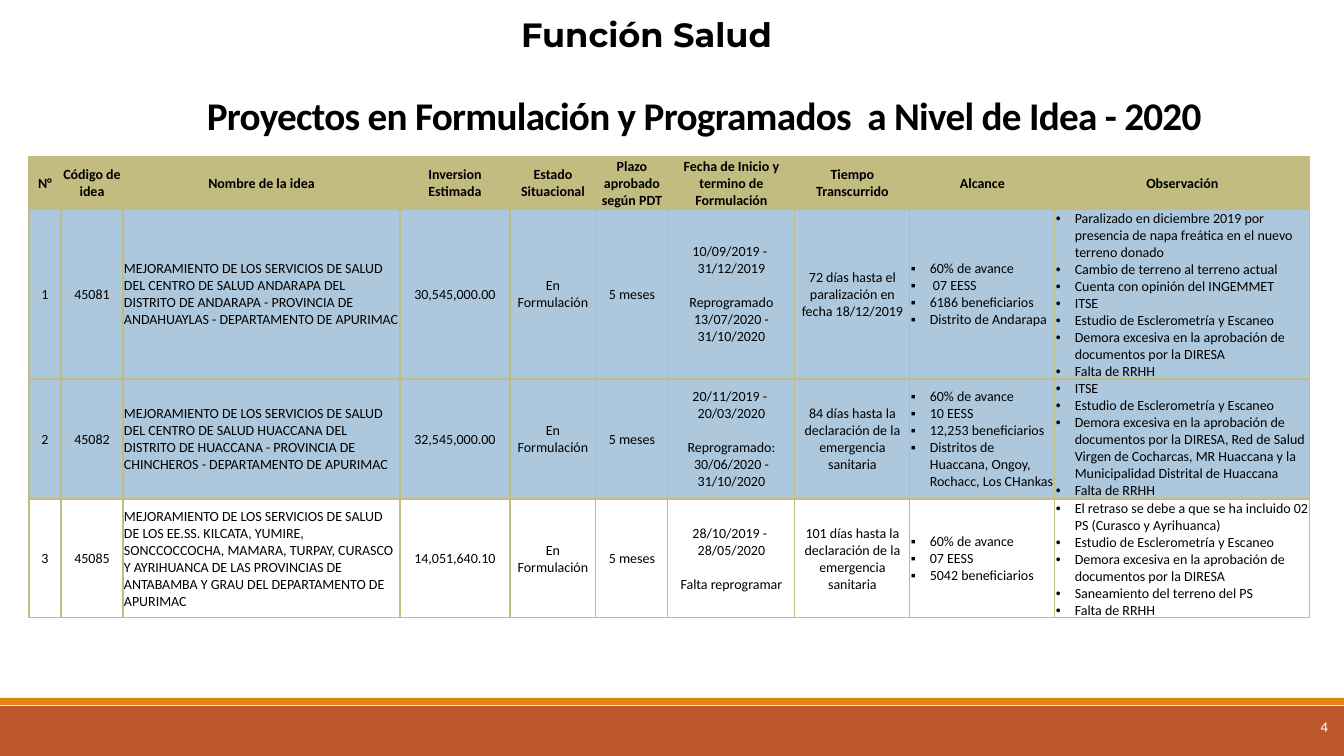
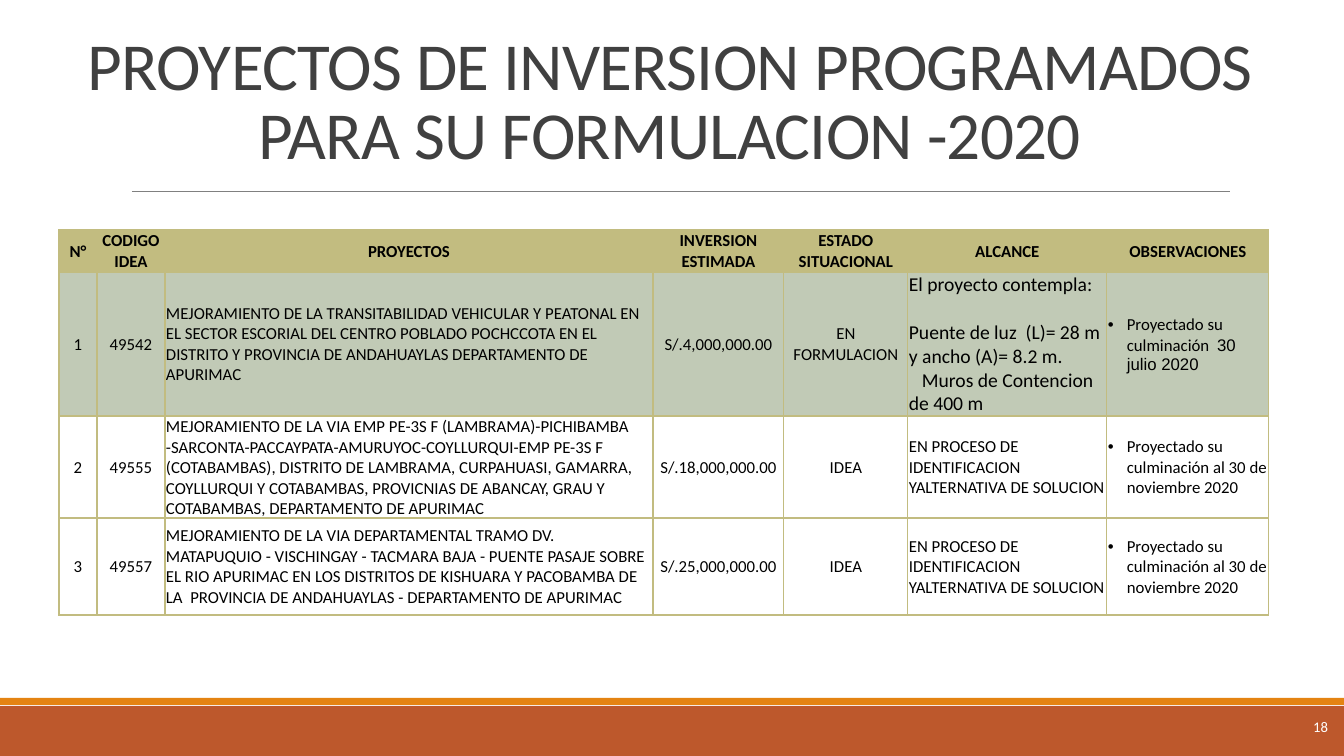
from dataclasses import dataclass

from lxml.etree import SubElement
from pptx import Presentation
from pptx.dml.color import RGBColor
from pptx.enum.shapes import MSO_CONNECTOR, MSO_SHAPE
from pptx.enum.text import MSO_ANCHOR, PP_ALIGN
from pptx.oxml.ns import qn
from pptx.util import Pt

WIDE, HIGH = 1344, 756
SCALE = 12192000 / WIDE


@dataclass(frozen=True)
class Theme:
    """Colours, fonts and type sizes of the deck."""
    rust: str = "BD582C"
    amber: str = "E48312"
    rule: str = "808080"
    khaki: str = "C2BC80"
    blue: str = "ADC8DD"
    sage: str = "C1CAB6"
    black: str = "000000"
    slate: str = "404040"
    white: str = "FFFFFF"
    body: str = "Calibri"
    head: str = "Montserrat"
    plain: str = "Arial"
    banner: int = 48
    title: int = 28
    topic: int = 24
    note: int = 14
    large: int = 12
    small: int = 10
    page: float = 10.5


THEME = Theme()
BULLETS = {"square": "▪", "dot": "•"}


def px(*sizes):
    """Turn px lengths into EMU."""
    return [round(size * SCALE) for size in sizes]


def style(para, size, color=THEME.black, bold=False, font=THEME.body, track=0):
    """Format every run of a paragraph."""
    for run in para.runs:
        run.font.size = Pt(size)
        run.font.bold = bold
        run.font.name = font
        run.font.color.rgb = RGBColor.from_string(color)
        if track:
            run.font._element.set("spc", str(track))


def label(slide, box, text, size, anchor=MSO_ANCHOR.MIDDLE,
          align=PP_ALIGN.CENTER, lead=None, **look):
    """Place one line of text in a box without margins."""
    frame = slide.shapes.add_textbox(*px(*box)).text_frame
    frame.word_wrap = True
    frame.vertical_anchor = anchor
    frame.margin_left = frame.margin_top = 0
    frame.margin_right = frame.margin_bottom = 0
    para = frame.paragraphs[0]
    para.text = text
    para.alignment = align
    para.line_spacing = lead
    style(para, size, **look)


def title(slide, box, text, size, **look):
    """Place a slide title on the foot of its box."""
    label(slide, box, text, size, MSO_ANCHOR.BOTTOM, track=-50, **look)


def band(slide, box, color):
    """Draw a flat bar."""
    bar = slide.shapes.add_shape(MSO_SHAPE.RECTANGLE, *px(*box))
    bar.shadow.inherit = False
    bar.fill.solid()
    bar.fill.fore_color.rgb = RGBColor.from_string(color)
    bar.line.fill.background()


def footer(slide, box, page):
    """Draw the two bars and the page number."""
    left, top, width, height = box
    band(slide, (left, top + 8, width, height - 8), THEME.rust)
    band(slide, (left, top, width, 7), THEME.amber)
    label(slide, (left + width - 97, top, 81, height), str(page), THEME.page,
          align=PP_ALIGN.RIGHT, color=THEME.white)


def rule(slide, left, top, width):
    """Draw the thin line below a title."""
    line = slide.shapes.add_connector(
        MSO_CONNECTOR.STRAIGHT, *px(left, top, left + width, top))
    line.line.width = Pt(0.5)
    line.line.color.rgb = RGBColor.from_string(THEME.rule)
    SubElement(line._element.spPr, qn("a:effectLst"))


def bullet(para, sign):
    """Give a paragraph a hanging bullet."""
    props = para._p.get_or_add_pPr()
    hang = px(19)[0]
    props.set("marL", str(hang))
    props.set("indent", str(-hang))
    SubElement(props, qn("a:buFont"), typeface=THEME.plain)
    SubElement(props, qn("a:buChar"), char=sign)


def border(cell):
    """Outline a cell on all sides."""
    props = cell._tc.get_or_add_tcPr()
    for side in ("lnL", "lnR", "lnT", "lnB"):
        line = SubElement(props, qn(f"a:{side}"), w=str(Pt(1)))
        fill = SubElement(line, qn("a:solidFill"))
        SubElement(fill, qn("a:srgbClr"), val=THEME.khaki)


def fill_cell(cell, text, kind, size, color, bold):
    """Set the text, margins, border and fill of a cell."""
    cell.margin_left = cell.margin_top = px(1)[0]
    cell.margin_right = 0 if kind in BULLETS else px(1)[0]
    cell.margin_bottom = 0
    cell.vertical_anchor = MSO_ANCHOR.MIDDLE
    border(cell)
    if color:
        cell.fill.solid()
        cell.fill.fore_color.rgb = RGBColor.from_string(color)
    else:
        cell.fill.background()
    cell.text_frame.text = text
    for place, para in enumerate(cell.text_frame.paragraphs):
        para.alignment = PP_ALIGN.CENTER if kind == "mid" else PP_ALIGN.LEFT
        if kind in BULLETS:
            bullet(para, BULLETS[kind])
        elif place == 1:
            para.space_before = Pt(size * 1.2)
        style(para, size, bold=bold)


def grid(slide, spot, cols, heights, kinds, rows, fills, size):
    """Build a table with a bold head row."""
    shape = slide.shapes.add_table(
        len(rows), len(cols), *px(*spot, sum(cols), sum(heights)))
    table = shape.table
    table.first_row = table.horz_banding = False
    for col, width in zip(table.columns, px(*cols)):
        col.width = width
    for row, height in zip(table.rows, px(*heights)):
        row.height = height
    for y, (texts, color) in enumerate(zip(rows, [THEME.khaki, *fills])):
        for x, text in enumerate(texts):
            kind = kinds[x] if y else "mid"
            fill_cell(table.cell(y, x), text, kind, size, color, y == 0)
    return table


HEALTH = [
    ["N°", "Código de idea", "Nombre de la idea", "Inversion\vEstimada",
     "Estado Situacional", "Plazo aprobado según PDT",
     "Fecha de Inicio y termino de Formulación", "Tiempo Transcurrido",
     "Alcance", "Observación"],
    ["1", "45081",
     "MEJORAMIENTO DE LOS SERVICIOS DE SALUD DEL CENTRO DE SALUD ANDARAPA DEL "
     "DISTRITO DE ANDARAPA - PROVINCIA DE ANDAHUAYLAS - DEPARTAMENTO DE APURIMAC",
     "30,545,000.00", "En Formulación", "5 meses",
     "10/09/2019 - \v31/12/2019\nReprogramado\v13/07/2020 - 31/10/2020",
     "72 días hasta el paralización en fecha 18/12/2019",
     "60% de avance\n 07 EESS\n6186 beneficiarios\nDistrito de Andarapa",
     "Paralizado en diciembre 2019 por presencia de napa freática en el nuevo "
     "terreno donado\nCambio de terreno al terreno actual\n"
     "Cuenta con opinión del INGEMMET\nITSE\n"
     "Estudio de Esclerometría y Escaneo\n"
     "Demora excesiva en la aprobación de documentos por la DIRESA\n"
     "Falta de RRHH"],
    ["2", "45082",
     "MEJORAMIENTO DE LOS SERVICIOS DE SALUD DEL CENTRO DE SALUD HUACCANA DEL "
     "DISTRITO DE HUACCANA - PROVINCIA DE CHINCHEROS - DEPARTAMENTO DE APURIMAC",
     "32,545,000.00", "En Formulación", "5 meses",
     "20/11/2019 - \v20/03/2020\nReprogramado:\v30/06/2020 - 31/10/2020",
     "84 días hasta la declaración de la emergencia sanitaria",
     "60% de avance\n10 EESS\n12,253 beneficiarios\n"
     "Distritos de Huaccana, Ongoy, Rochacc, Los CHankas",
     "ITSE\nEstudio de Esclerometría y Escaneo\n"
     "Demora excesiva en la aprobación de documentos por la DIRESA, Red de "
     "Salud Virgen de Cocharcas, MR Huaccana y la Municipalidad Distrital de "
     "Huaccana\nFalta de RRHH"],
    ["3", "45085",
     "MEJORAMIENTO DE LOS SERVICIOS DE SALUD DE LOS EE.SS. KILCATA, YUMIRE, "
     "SONCCOCCOCHA, MAMARA, TURPAY, CURASCO Y AYRIHUANCA DE LAS PROVINCIAS DE "
     "ANTABAMBA Y GRAU DEL DEPARTAMENTO DE APURIMAC",
     "14,051,640.10", "En Formulación", "5 meses",
     "28/10/2019 - \v28/05/2020\nFalta reprogramar",
     "101 días hasta la declaración de la emergencia sanitaria",
     "60% de avance\n07 EESS\n5042 beneficiarios",
     "El retraso se debe a que se ha incluido 02 PS (Curasco y Ayrihuanca)\n"
     "Estudio de Esclerometría y Escaneo\n"
     "Demora excesiva en la aprobación de documentos por la DIRESA\n"
     "Saneamiento del terreno del PS\nFalta de RRHH"],
]

SCOPE = "EN PROCESO DE IDENTIFICACION YALTERNATIVA DE SOLUCION"
DUE = "Proyectado su culminación al 30 de noviembre 2020"
ROADS = [
    ["N°", "CODIGO IDEA", "PROYECTOS", "INVERSION ESTIMADA",
     "ESTADO SITUACIONAL", "ALCANCE", "OBSERVACIONES"],
    ["1", "49542",
     "MEJORAMIENTO DE LA TRANSITABILIDAD VEHICULAR Y PEATONAL EN EL SECTOR "
     "ESCORIAL DEL CENTRO POBLADO POCHCCOTA EN EL DISTRITO Y PROVINCIA DE "
     "ANDAHUAYLAS DEPARTAMENTO DE APURIMAC",
     "S/.4,000,000.00", "EN FORMULACION",
     "El proyecto contempla:\nPuente de luz  (L)= 28 m y ancho (A)= 8.2 m.\n"
     "Muros de Contencion de 400 m",
     "Proyectado su culminación  "],
    ["2", "49555",
     "MEJORAMIENTO DE LA VIA EMP PE-3S F (LAMBRAMA)-PICHIBAMBA "
     "-SARCONTA-PACCAYPATA-AMURUYOC-COYLLURQUI-EMP PE-3S F (COTABAMBAS), "
     "DISTRITO DE LAMBRAMA, CURPAHUASI, GAMARRA, COYLLURQUI Y COTABAMBAS, "
     "PROVICNIAS DE ABANCAY, GRAU Y COTABAMBAS, DEPARTAMENTO DE APURIMAC",
     "S/.18,000,000.00", "IDEA", SCOPE, DUE],
    ["3", "49557",
     "MEJORAMIENTO DE LA VIA DEPARTAMENTAL TRAMO DV. MATAPUQUIO - VISCHINGAY - "
     "TACMARA BAJA - PUENTE PASAJE SOBRE EL RIO APURIMAC EN LOS DISTRITOS DE "
     "KISHUARA Y PACOBAMBA DE LA  PROVINCIA DE ANDAHUAYLAS - DEPARTAMENTO DE "
     "APURIMAC",
     "S/.25,000,000.00", "IDEA", SCOPE, DUE],
]


def health(slide):
    """Lay out the health projects."""
    title(slide, (122, 69, 1164, 69),
          "Proyectos en Formulación y Programados  a Nivel de Idea - 2020",
          THEME.title, bold=True)
    label(slide, (78, 14, 1137, 41), "Función Salud", THEME.topic,
          bold=True, font=THEME.head)
    grid(slide, (29, 157), [32, 62, 277, 110, 86, 72, 127, 115, 145, 255],
         [52, 170, 120, 119],
         ["mid", "mid", "left", *["mid"] * 5, "square", "dot"],
         HEALTH, [THEME.blue, THEME.blue, None], THEME.small)


def roads(slide):
    """Lay out the road projects."""
    rule(slide, 132, 191, 1098)
    title(slide, (70, 44, 1200, 129),
          "PROYECTOS DE INVERSION PROGRAMADOS PARA SU FORMULACION -2020",
          THEME.banner, color=THEME.slate, lead=0.85)
    table = grid(slide, (59, 230), [38, 68, 488, 131, 124, 199, 162],
                 [42, 144, 102, 97],
                 ["mid", "mid", "left", "mid", "mid", "left", "dot"],
                 ROADS, [THEME.sage, None, None], THEME.large)
    scope = table.cell(1, 5).text_frame.paragraphs
    for para in scope:
        style(para, THEME.note)
    scope[1].space_before = Pt(17)
    scope[2]._p.get_or_add_pPr().set("indent", str(px(13)[0]))
    due = table.cell(1, 6).text_frame.paragraphs[0]
    due.add_run().text = "30 julio 2020"
    style(due, THEME.large)
    due.runs[1].font.name = THEME.plain


def main():
    """Build and save the deck."""
    deck = Presentation()
    deck.slide_width, deck.slide_height = px(WIDE, HIGH)
    for fill, page in ((health, 4), (roads, 18)):
        slide = deck.slides.add_slide(deck.slide_layouts[6])
        footer(slide, (0, 698, WIDE, 58), page)
        fill(slide)
    deck.save("out.pptx")


if __name__ == "__main__":
    main()
